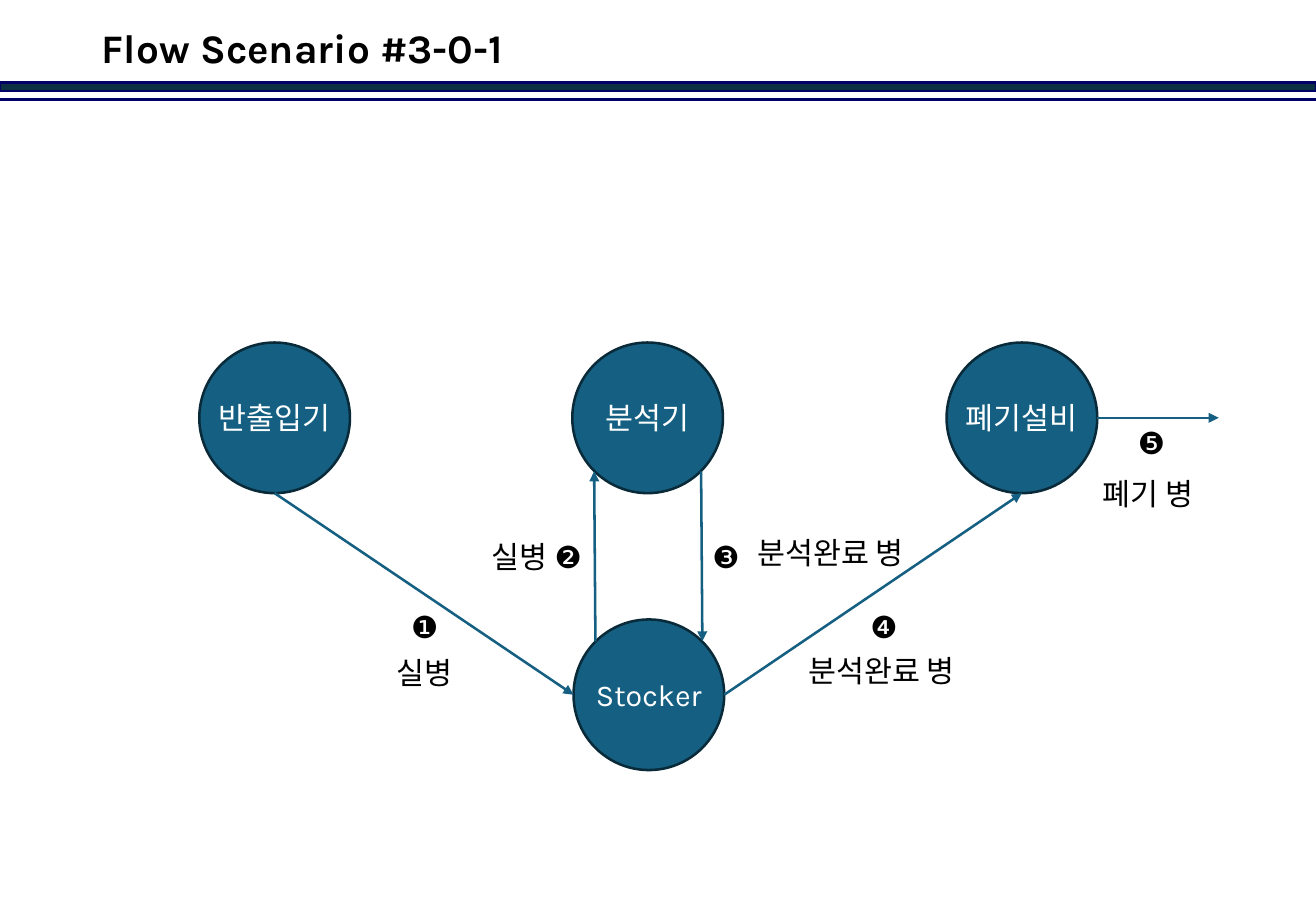
import math

from lxml import etree
from pptx import Presentation
from pptx.dml.color import RGBColor
from pptx.enum.shapes import MSO_CONNECTOR, MSO_SHAPE
from pptx.enum.text import MSO_ANCHOR, PP_ALIGN
from pptx.oxml.ns import qn
from pptx.util import Pt

STRAIGHT = MSO_CONNECTOR.STRAIGHT
RECTANGLE, OVAL = MSO_SHAPE.RECTANGLE, MSO_SHAPE.OVAL
MIDDLE, TOP = MSO_ANCHOR.MIDDLE, MSO_ANCHOR.TOP
CENTER, LEFT = PP_ALIGN.CENTER, PP_ALIGN.LEFT

PX = 9144  # 100 px to the inch
SLIDE_W, SLIDE_H = 1083, 750
FONT = "Karla"
COLORS = {
    "bar": "0B3041",
    "rule": "000066",
    "station": "156082",
    "station_edge": "092A39",
    "ink": "000000",
    "paper": "FFFFFF",
}
STATION_D = 124
LABEL_H = 40

# Station name: left, top inside the flow area
STATIONS = {
    "반출입기": (0, 0),
    "분석기": (307, 0),
    "폐기설비": (615, 0),
    "Stocker": (308, 228),
}
# Clockwise angle in degrees, starting from the right
RIGHT, LOWER_RIGHT, BOTTOM, LOWER_LEFT = 0, 45, 90, 135
LEFT_SIDE, UPPER_LEFT, UPPER_RIGHT = 180, 225, 315
MOVES = [
    ("반출입기", BOTTOM, "Stocker", LEFT_SIDE),
    ("Stocker", UPPER_LEFT, "분석기", LOWER_LEFT),
    ("분석기", LOWER_RIGHT, "Stocker", UPPER_RIGHT),
    ("Stocker", RIGHT, "폐기설비", BOTTOM),
]
EXIT_LENGTH = 100
# Step number, its center x and top; load name, its center x and top
STEPS = [
    ("❶", 185, 214, "실병", 185, 252),
    ("❷", 304, 156, "실병", 263, 156),
    ("❸", 434, 156, "분석완료 병", 519, 153),
    ("❹", 563, 214, "분석완료 병", 562, 250),
    ("❺", 783, 62, "폐기 병", 781, 104),
]
LABEL_WIDTHS = {"실병": 71, "분석완료 병": 151, "폐기 병": 101}
NUMBER_W = 51


def color(name):
    return RGBColor.from_string(COLORS[name])


def write(shape, text, ink="ink", size=18, align=CENTER, anchor=TOP, wrap=False):
    frame = shape.text_frame
    frame.word_wrap = wrap
    frame.vertical_anchor = anchor
    paragraph = frame.paragraphs[0]
    paragraph.text = text
    paragraph.alignment = align
    paragraph.font.name = FONT
    paragraph.font.size = Pt(size)
    paragraph.font.color.rgb = color(ink)
    return paragraph


def add_filled(slide, kind, box, fill, edge):
    shape = slide.shapes.add_shape(kind, *(v * PX for v in box))
    shape.shadow.inherit = False
    shape.fill.solid()
    shape.fill.fore_color.rgb = color(fill)
    shape.line.color.rgb = color(edge)
    shape.line.width = Pt(1.5)
    return shape


def add_line(slide, start, end, ink, arrow=False):
    line = slide.shapes.add_connector(
        STRAIGHT, *(round(v) * PX for v in (*start, *end)))
    line.line.color.rgb = color(ink)
    line.line.width = Pt(1.5)
    if arrow:
        etree.SubElement(line.line._get_or_add_ln(), qn("a:tailEnd"), type="triangle")
    etree.SubElement(line._element.spPr, qn("a:effectLst"))


def add_label(slide, text, center, top, width):
    box = (round(center - width / 2), top, width, LABEL_H)
    write(slide.shapes.add_textbox(*(v * PX for v in box)), text)


def header(slide, x, y, w):
    # Double rule
    add_filled(slide, RECTANGLE, (x, y + 68, w, 7), "bar", "rule")
    add_line(slide, (x, y + 82), (x + w, y + 82), "rule")
    # Title
    box = (x + 74, y + 15, 667, 53)
    title = write(slide.shapes.add_textbox(*(v * PX for v in box)),
                  "Flow Scenario #3-0-1", size=24, align=LEFT, anchor=MIDDLE, wrap=True)
    title.font.bold = True
    title.line_spacing = 0.9


def flow(slide, x, y):
    def rim(station, angle):
        left, top = STATIONS[station]
        radius = STATION_D / 2
        turn = math.radians(angle)
        return (x + left + radius * (1 + math.cos(turn)),
                y + top + radius * (1 + math.sin(turn)))

    # Stations
    for name, (left, top) in STATIONS.items():
        box = (x + left, y + top, STATION_D, STATION_D)
        station = add_filled(slide, OVAL, box, "station", "station_edge")
        write(station, name, "paper", anchor=MIDDLE)

    # Moves between stations, then the way out
    for source, leave, target, arrive in MOVES:
        add_line(slide, rim(source, leave), rim(target, arrive), "station", arrow=True)
    exit_x, exit_y = rim("폐기설비", RIGHT)
    add_line(slide, (exit_x, exit_y), (exit_x + EXIT_LENGTH, exit_y), "station", arrow=True)

    # Step numbers and loads
    for number, number_x, number_y, load, load_x, load_y in STEPS:
        add_label(slide, number, x + number_x, y + number_y, NUMBER_W)
        add_label(slide, load, x + load_x, y + load_y, LABEL_WIDTHS[load])


def main():
    prs = Presentation()
    prs.slide_width, prs.slide_height = SLIDE_W * PX, SLIDE_H * PX
    slide = prs.slides.add_slide(prs.slide_layouts[6])
    header(slide, 0, 0, SLIDE_W)
    flow(slide, 164, 282)
    prs.save("out.pptx")


if __name__ == "__main__":
    main()
